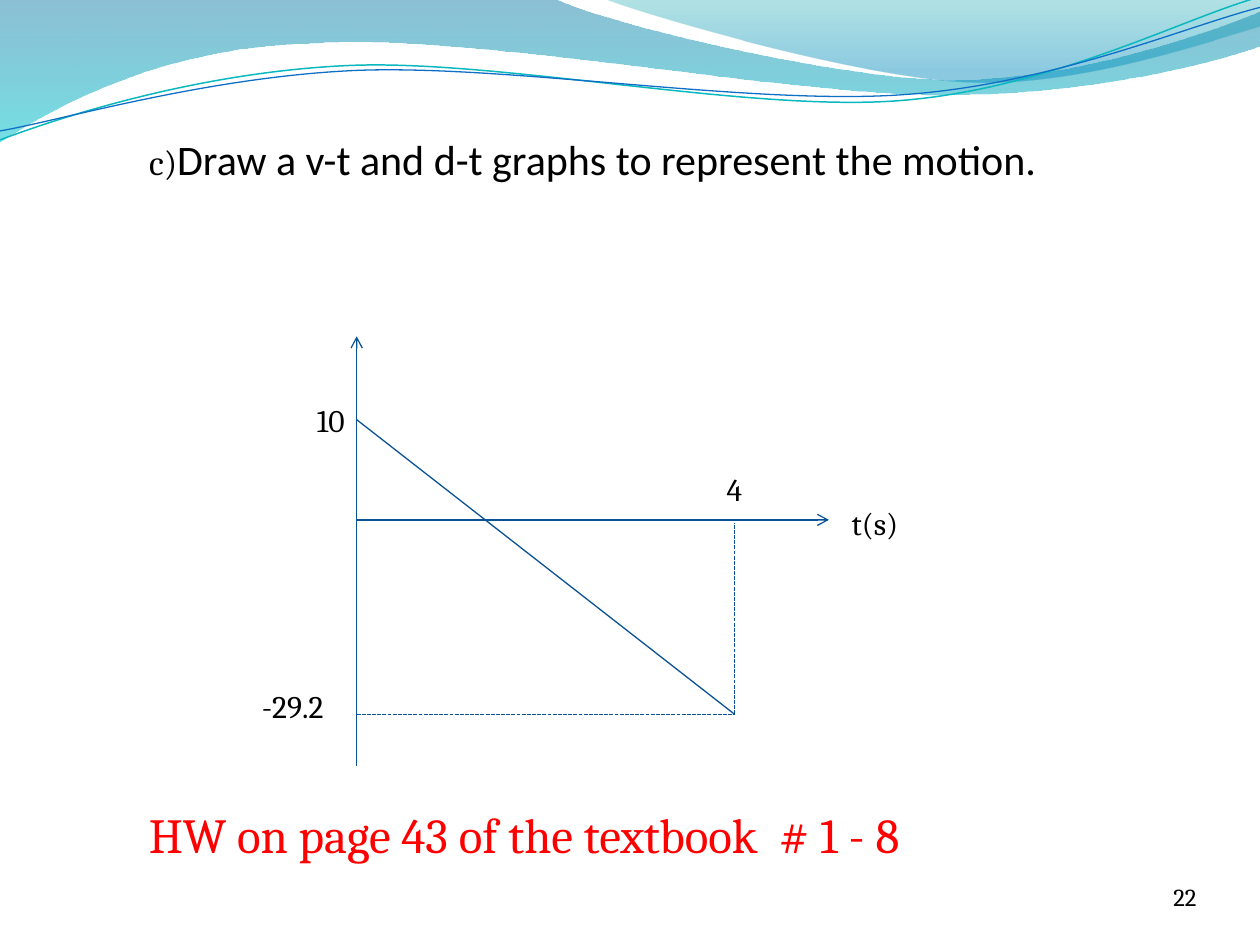
import dataclasses
import math

import lxml.etree
import pptx
import pptx.dml.color
import pptx.enum.dml
import pptx.enum.shapes
import pptx.enum.text
import pptx.oxml.ns
import pptx.util
from pptx.util import Cm


@dataclasses.dataclass(frozen=True)
class Theme:
    """Colours, fonts and type sizes of the slide."""
    ink: str = "000000"
    homework: str = "FF0000"
    graph: str = "095295"
    teal_wave: str = "0AB8BF"
    blue_wave: str = "0F6FC6"
    wide_band: tuple = ((0, "0074A1", 45), (1, "00C6CF", 55))
    right_band: tuple = ((0, "00A1A9", 30), (0.8, "008BBF", 45))
    serif: str = "Cambria"
    sans: str = "Calibri"
    number_size: int = 14
    label_size: int = 18
    marker_size: int = 20
    task_size: int = 24
    homework_size: int = 28


THEME = Theme()
ALIGN = pptx.enum.text.PP_ALIGN
ANCHOR = pptx.enum.text.MSO_ANCHOR
WAVE_TILT = -2.7

WIDE_BAND = [(0, 0), (11.18, -0.03),
             (12.09, 0.43, 16.87, 1.6, 19.25, 1.6),
             (21.67, 1.6, 24.33, 0.66, 25.4, 0.23),
             (25.43, 0.91),
             (24.97, 1.12, 22.1, 1.93, 18.95, 1.91),
             (15.8, 1.91, 9.7, 0.71, 6.53, 0.86),
             (3.28, 0.91, 1.17, 2.11, -0.03, 2.87),
             (0, 0)]
RIGHT_BAND = [(12.17, -0.03),
              (12.93, 0.28, 17.32, 1.57, 19.53, 1.65),
              (21.74, 1.75, 24.41, 0.81, 25.4, 0.53),
              (25.4, 0), (12.17, -0.03)]
TEAL_WAVE = [(0, 2.82),
             (1.22, 2.36, 4.01, 1.45, 7.04, 1.32),
             (10.03, 1.19, 15.06, 2.26, 18.11, 2.03),
             (21.16, 1.8, 23.83, 0.38, 25.35, -0.05)]
BLUE_WAVE = [(0, 2.64),
             (1.19, 2.44, 4.17, 1.55, 7.19, 1.42),
             (10.24, 1.3, 15.16, 2.13, 18.21, 1.91),
             (21.23, 1.7, 23.9, 0.53, 25.4, 0.15)]


def rgb(value):
    """Turn a hex string into a colour."""
    return pptx.dml.color.RGBColor.from_string(value)


def add_child(parent, tag, **attributes):
    """Append a DrawingML element to a parent."""
    return lxml.etree.SubElement(parent, pptx.oxml.ns.qn(tag), attributes)


def write(paragraph, text, *, size, font=THEME.serif, color=THEME.ink, align=ALIGN.LEFT):
    """Add one formatted run to a paragraph."""
    paragraph.alignment = align
    run = paragraph.add_run()
    run.text = text
    run.font.size = pptx.util.Pt(size)
    run.font.name = font
    run.font.color.rgb = rgb(color)


def add_label(slide, box, text, *, anchor=ANCHOR.TOP, inset=None, wrap=False, **style):
    """Place a text box holding one line of text."""
    frame = slide.shapes.add_textbox(*map(Cm, box)).text_frame
    frame.word_wrap = wrap
    frame.vertical_anchor = anchor
    if inset is not None:
        frame.margin_left = frame.margin_right = Cm(inset)
        frame.margin_top = frame.margin_bottom = Cm(inset)
    write(frame.paragraphs[0], text, **style)


def turn(segment, degrees, center):
    """Rotate the points of a segment about a center."""
    cos, sin = math.cos(math.radians(degrees)), math.sin(math.radians(degrees))
    turned = []
    for x, y in zip(segment[::2], segment[1::2]):
        dx, dy = x - center[0], y - center[1]
        turned += [center[0] + dx * cos - dy * sin, center[1] + dx * sin + dy * cos]
    return turned


def add_outline(slide, box, path, closed):
    """Build a freeform of lines and cubic curves relative to a box."""
    points = [(Cm(box[0] + x), Cm(box[1] + y))
              for segment in path for x, y in zip(segment[::2], segment[1::2])]
    builder = slide.shapes.build_freeform(*points[0])
    builder.add_line_segments(points[1:], close=closed)
    outline = builder.convert_to_shape()
    outline.shadow.inherit = False
    steps = iter(outline.element.xpath(".//a:path/a:lnTo"))
    for segment in path[1:]:
        first = next(steps)
        if len(segment) == 6:
            first.tag = pptx.oxml.ns.qn("a:cubicBezTo")
            for control in (next(steps), next(steps)):
                first.append(control[0])
                control.getparent().remove(control)
    return outline


def add_band(slide, box, path, stops):
    """Draw a translucent band shaded from top to bottom."""
    band = add_outline(slide, box, path, True)
    band.line.fill.background()
    band.fill.gradient()
    band.fill.gradient_angle = 270
    for stop, (position, color, _) in zip(band.fill.gradient_stops, stops):
        stop.position = position
        stop.color.rgb = rgb(color)
    shades = band.element.xpath(".//a:gradFill//a:srgbClr")
    for shade, (_, _, opacity) in zip(shades, stops):
        add_child(shade, "a:alpha", val=str(opacity * 1000))


def add_wave(slide, box, path, color, width, center):
    """Draw a thin open wave, tilted about its center."""
    level = [turn(segment, -WAVE_TILT, center) for segment in path]
    wave = add_outline(slide, box, level, False)
    wave.rotation = WAVE_TILT
    wave.fill.background()
    wave.line.color.rgb = rgb(color)
    wave.line.width = pptx.util.Pt(width)


def add_header_waves(slide, box):
    """Draw the bands and waves along the top of the slide."""
    add_band(slide, box, WIDE_BAND, THEME.wide_band)
    add_band(slide, box, RIGHT_BAND, THEME.right_band)
    add_wave(slide, box, TEAL_WAVE, THEME.teal_wave, 0.85, (12.67, 1.46))
    add_wave(slide, box, BLUE_WAVE, THEME.blue_wave, 0.75, (12.69, 1.5))


def add_task(slide, box):
    """Write the task in the title placeholder."""
    task = slide.shapes.title
    task.left, task.top, task.width, task.height = map(Cm, box)
    frame = task.text_frame
    frame.word_wrap = True
    frame.vertical_anchor = ANCHOR.BOTTOM
    write(frame.paragraphs[0], "c)", size=THEME.marker_size)
    write(frame.paragraphs[0], "Draw a v-t and d-t graphs to represent the motion.",
          size=THEME.task_size, font=THEME.sans)


def add_graph_line(slide, start, end, arrow=False, dashed=False):
    """Draw a straight line of the graph."""
    line = slide.shapes.add_connector(
        pptx.enum.shapes.MSO_CONNECTOR.STRAIGHT, *map(Cm, start + end))
    line.line.color.rgb = rgb(THEME.graph)
    line.line.width = pptx.util.Pt(0.75)
    if dashed:
        line.line.dash_style = pptx.enum.dml.MSO_LINE.SQUARE_DOT
        line.element.xpath(".//a:prstDash")[0].set("val", "sysDash")
    if arrow:
        add_child(line.element.spPr.find(pptx.oxml.ns.qn("a:ln")), "a:tailEnd", type="arrow")
    add_child(line.element.spPr, "a:effectLst")


def add_velocity_graph(slide, box):
    """Draw the velocity-time graph with its axes, guides and labels."""
    left, top, width, height = box
    right, bottom = left + width, top + height
    zero, initial, final = top + 3.7, top + 1.68, top + 7.62
    four_seconds = left + 7.62
    add_graph_line(slide, (left, bottom), (left, top), arrow=True)
    add_graph_line(slide, (left, zero), (right, zero), arrow=True)
    add_graph_line(slide, (left, initial), (four_seconds, final))
    add_graph_line(slide, (four_seconds, final), (four_seconds, zero + 0.06), dashed=True)
    add_graph_line(slide, (left, final), (four_seconds, final), dashed=True)
    labels = [("10", left - 1.05, initial - 0.51, 1.07),
              ("-29.2", left - 2.16, final - 0.68, 1.98),
              ("4", four_seconds - 0.41, zero - 1.13, 1.07),
              ("t(s)", right + 0.21, zero - 0.45, 1.93)]
    for text, x, y, label_width in labels:
        add_label(slide, (x, y, label_width, 1.02), text, size=THEME.label_size)


def main():
    """Build and save the slide."""
    deck = pptx.Presentation()
    deck.slide_width, deck.slide_height = Cm(25.4), Cm(19.05)
    slide = deck.slides.add_slide(deck.slide_layouts.get_by_name("Title Only"))
    add_header_waves(slide, (0, 0, 25.4, 2.87))
    add_task(slide, (2.75, 1.7, 20.32, 2.13))
    add_velocity_graph(slide, (7.19, 6.78, 9.52, 8.66))
    add_label(slide, (2.75, 16.09, 20.32, 1.45), "HW on page 43 of the textbook  # 1 - 8",
              wrap=True, size=THEME.homework_size, color=THEME.homework)
    add_label(slide, (22, 17.35, 2.12, 1.02), "22", anchor=ANCHOR.BOTTOM, inset=0,
              wrap=True, size=THEME.number_size, align=ALIGN.RIGHT)
    deck.save("out.pptx")


if __name__ == "__main__":
    main()
